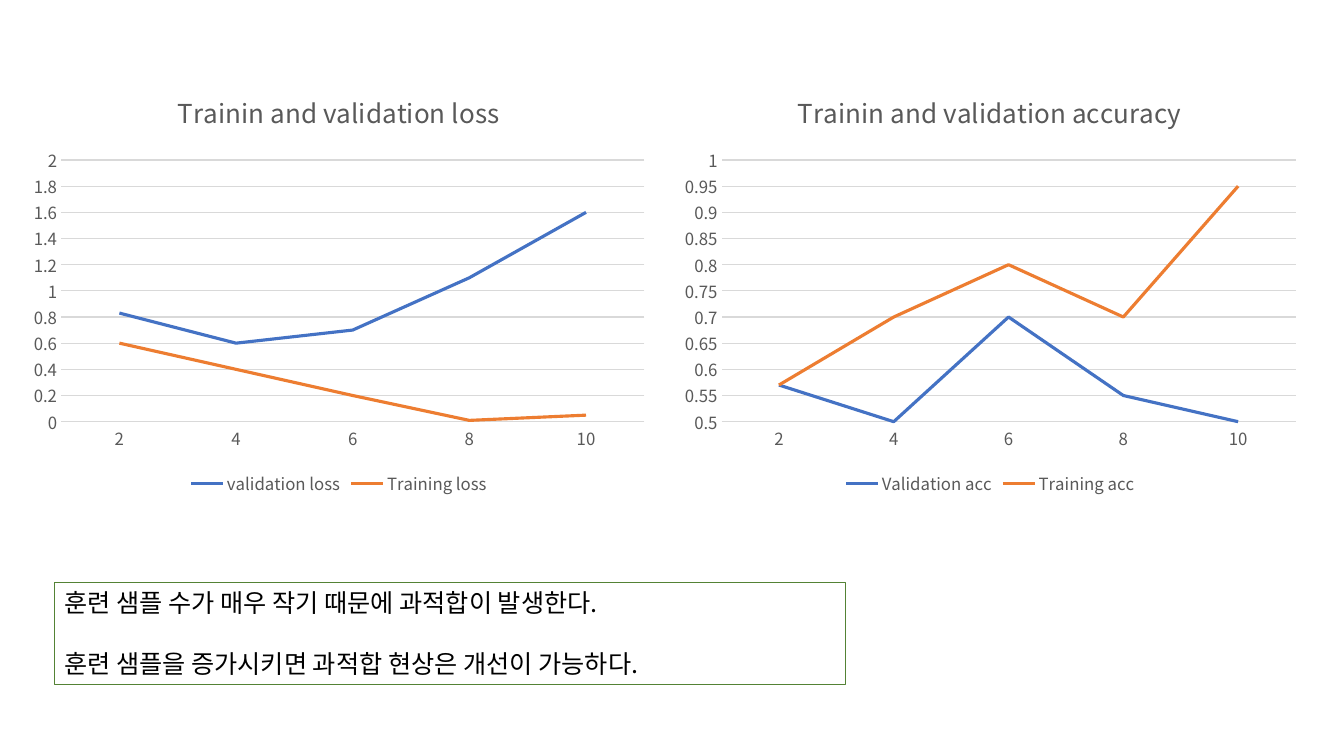
from lxml import etree
from pptx import Presentation
from pptx import util as u
from pptx.chart.data import CategoryChartData
from pptx.dml.color import RGBColor
from pptx.enum import chart as ch
from pptx.enum import text
from pptx.oxml.ns import qn

COLORS = {"ink": "000000", "label": "595959", "grid": "D9D9D9",
          "validation": "4472C4", "training": "ED7D31", "border": "548235"}
FONT = "Noto Sans CJK KR"
EPOCHS = ["2", "4", "6", "8", "10"]


def rgb(name):
    """Return a palette colour."""
    return RGBColor.from_string(COLORS[name])


def style_font(font, size, color="label"):
    """Set face, size and colour of a font."""
    font.name, font.size, font.bold = FONT, u.Pt(size), False
    font.color.rgb = rgb(color)


def style_line(line, color, width):
    """Set colour and width of a line."""
    line.color.rgb = rgb(color)
    line.width = u.Pt(width)


def add_text(p, content, size=18, color="ink", before=0):
    """Fill a paragraph with one formatted run."""
    p.space_before = u.Pt(before)
    r = p.add_run()
    r.text = content
    style_font(r.font, size, color)
    ea = etree.SubElement(r.font._element, qn("a:ea"))
    ea.set("typeface", FONT)


class Deck:
    """Hold the presentation, its current slide and the element methods."""

    def __init__(self):
        """Open a widescreen deck with one blank slide."""
        self.prs = Presentation()
        self.prs.slide_width, self.prs.slide_height = u.Cm(33.87), u.Cm(19.05)
        self.s = self.prs.slides.add_slide(self.prs.slide_layouts[6])

    def line_chart(self, left, title, series, low, high, step):
        """Add a line chart of validation and training values per epoch."""
        data = CategoryChartData()
        data.categories = EPOCHS
        for name, values in series:
            data.add_series(name, values)
        chart = self.s.shapes.add_chart(
            ch.XL_CHART_TYPE.LINE, u.Cm(left), u.Cm(1.8),
            u.Cm(16.03), u.Cm(10.8), data).chart
        style_font(chart.font, 12)
        chart.has_title = True
        add_text(chart.chart_title.text_frame.paragraphs[0], title,
                 size=18.6, color="label")
        chart.chart_title.include_in_layout = False
        chart.has_legend = True
        chart.legend.position = ch.XL_LEGEND_POSITION.BOTTOM
        chart.legend.include_in_layout = False
        style_font(chart.legend.font, 12)

        for axis in (chart.category_axis, chart.value_axis):
            axis.major_tick_mark = axis.minor_tick_mark = ch.XL_TICK_MARK.NONE
            style_font(axis.tick_labels.font, 12)
        style_line(chart.category_axis.format.line, "grid", 0.75)
        values = chart.value_axis
        values.minimum_scale, values.maximum_scale = low, high
        values.major_unit = step
        values.format.line.fill.background()
        style_line(values.major_gridlines.format.line, "grid", 0.75)

        plot = chart.plots[0]
        plot.vary_by_categories = False
        for ser, color in zip(plot.series, ("validation", "training")):
            ser.smooth = False
            ser.marker.style = ch.XL_MARKER_STYLE.NONE
            style_line(ser.format.line, color, 2.25)

    def note(self, left, top, width, height, lines, gap):
        """Add an outlined text box with spaced paragraphs."""
        sp = self.s.shapes.add_textbox(
            u.Cm(left), u.Cm(top), u.Cm(width), u.Cm(height))
        style_line(sp.line, "border", 0.75)
        tf = sp.text_frame
        tf.word_wrap = True
        tf.auto_size = text.MSO_AUTO_SIZE.NONE
        for i, content in enumerate(lines):
            p = tf.add_paragraph() if i else tf.paragraphs[0]
            add_text(p, content, before=gap if i else 0)


deck = Deck()
deck.line_chart(0.53, "Trainin and validation loss", [
    ("validation loss", (0.83, 0.6, 0.7, 1.1, 1.6)),
    ("Training loss", (0.6, 0.4, 0.2, 0.01, 0.05))], 0, 2, 0.2)
deck.line_chart(16.94, "Trainin and validation accuracy", [
    ("Validation acc", (0.57, 0.5, 0.7, 0.55, 0.5)),
    ("Training acc", (0.57, 0.7, 0.8, 0.7, 0.95))], 0.5, 1, 0.05)
deck.note(1.37, 14.68, 19.94, 2.57, [
    "훈련 샘플 수가 매우 작기 때문에 과적합이 발생한다.",
    "훈련 샘플을 증가시키면 과적합 현상은 개선이 가능하다."], gap=22)
deck.prs.save("out.pptx")
